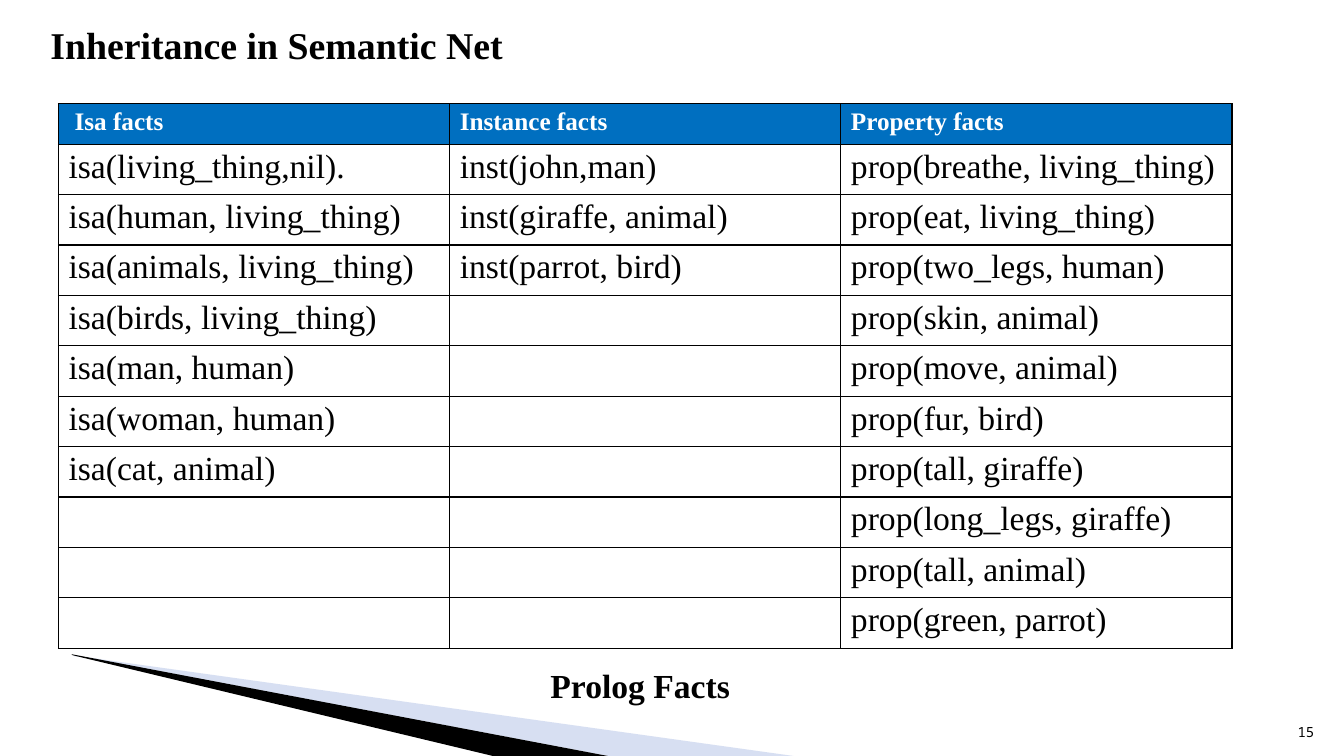
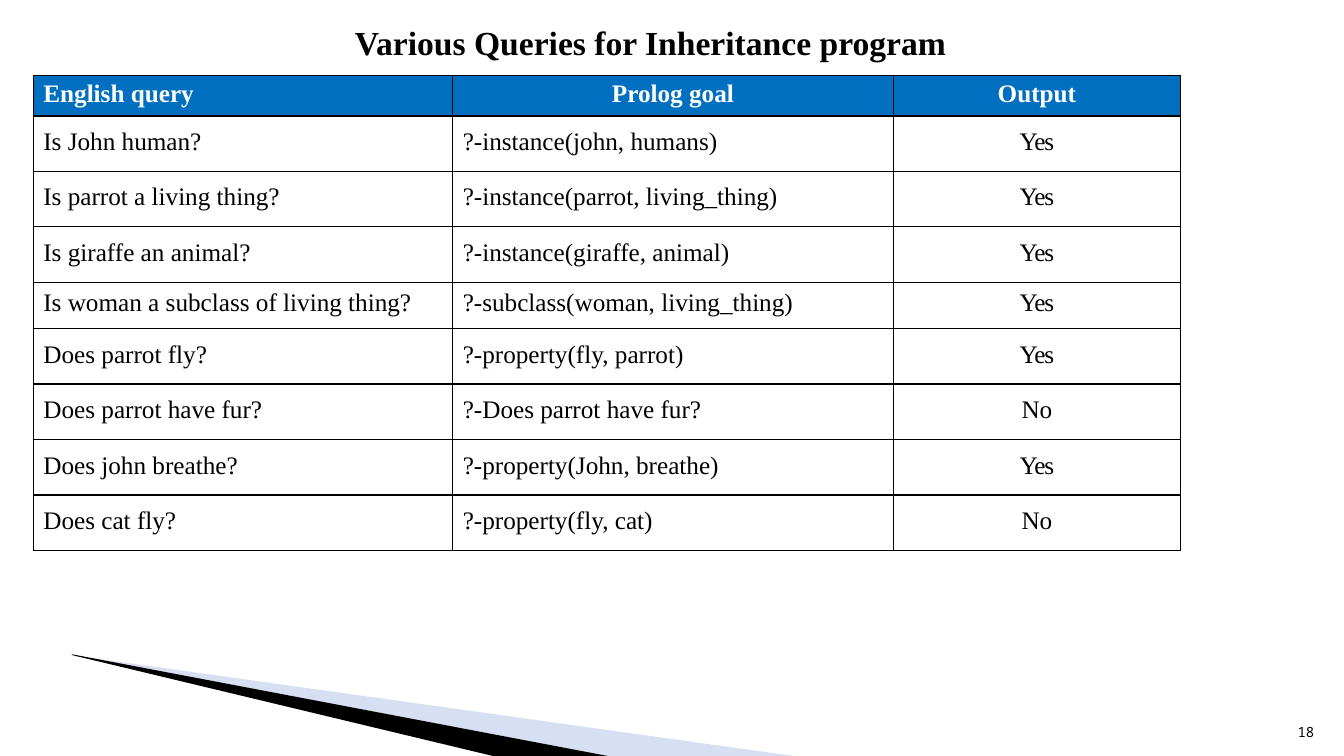
"""Build two slides on inheritance in a semantic net: Prolog facts and queries."""
from itertools import zip_longest

from lxml.etree import SubElement
from pptx import Presentation
from pptx.dml.color import RGBColor
from pptx.enum.text import MSO_ANCHOR as Anchor, PP_ALIGN as Align
from pptx.oxml.ns import qn
from pptx.util import Inches, Pt

SERIF, MONO = "Times New Roman", "Noto Sans Mono"
BLACK, WHITE, BLUE, PALE = "000000", "FFFFFF", "006FC0", "9CB1E0"
HEAD_HEIGHT = 0.4
CELL_INDENT = 0.1

WEDGES = [
    (PALE, 40, [(73, 650), (73, 651), (85, 652), (603, 750), (787, 750), (85, 652)]),
    (BLACK, 100, [(71, 649), (72, 650), (489, 750), (603, 750)]),
]

FACTS = {
    "Isa facts": ["isa(living_thing,nil).", "isa(human, living_thing)",
                  "isa(animals, living_thing)", "isa(birds, living_thing)",
                  "isa(man, human)", "isa(woman, human)", "isa(cat, animal)"],
    "Instance facts": ["inst(john,man)", "inst(giraffe, animal)", "inst(parrot, bird)"],
    "Property facts": ["prop(breathe, living_thing)", "prop(eat, living_thing)",
                       "prop(two_legs, human)", "prop(skin, animal)",
                       "prop(move, animal)", "prop(fur, bird)", "prop(tall, giraffe)",
                       "prop(long_legs, giraffe)", "prop(tall, animal)",
                       "prop(green, parrot)"],
}

QUERIES = [
    ("Is John human?", "?-instance(john, humans)", "Yes"),
    ("Is parrot a living thing?", "?-instance(parrot, living_thing)", "Yes"),
    ("Is giraffe an animal?", "?-instance(giraffe, animal)", "Yes"),
    ("Is woman a subclass of living thing?", "?-subclass(woman, living_thing)", "Yes"),
    ("Does parrot fly?", "?-property(fly, parrot)", "Yes"),
    ("Does parrot have fur?", "?-Does parrot have fur?", "No"),
    ("Does john breathe?", "?-property(John, breathe)", "Yes"),
    ("Does cat fly?", "?-property(fly, cat)", "No"),
]

SLIDES = [
    {
        "number": "15",
        "texts": [("Inheritance in Semantic Net", (0.5, 0.21, 4.6, 0.48), 27),
                  ("Prolog Facts", (5.46, 6.59, 1.9, 0.43), 24)],
        "corner": (0.58, 1.03),
        "columns": [3.88] * 3,
        "heads": list(FACTS),
        "rows": list(zip_longest(*FACTS.values(), fillvalue="")),
        "heights": [0.5] * 10,
        "top_gaps": [0.04] * 10,
        "size": 24,
        "first_head_indent": 0.16,
        "head_align": [Align.LEFT] * 3,
        "body_align": [Align.LEFT] * 3,
    },
    {
        "number": "18",
        "texts": [("Various Queries for Inheritance program", (3.52, 0.21, 6, 0.43), 24)],
        "corner": (0.33, 0.75),
        "columns": [4.16, 4.37, 2.85],
        "heads": ["English query", "Prolog goal", "Output"],
        "rows": QUERIES,
        "heights": [0.55] * 3 + [0.46] + [0.55] * 4,
        "top_gaps": [0.12] * 3 + [0.07] + [0.12] * 4,
        "size": 18,
        "first_head_indent": CELL_INDENT,
        "head_align": [Align.LEFT, Align.CENTER, Align.CENTER],
        "body_align": [Align.LEFT, Align.LEFT, Align.CENTER],
    },
]


def rgb(code):
    """Turn a hex string into a colour."""
    return RGBColor.from_string(code)


def style(para, size, colour=BLACK, bold=False, name=SERIF):
    """Set the font of a paragraph."""
    for key, value in {"size": Pt(size), "bold": bold, "name": name}.items():
        setattr(para.font, key, value)
    para.font.color.rgb = rgb(colour)


def add_text(page, text, place, size, **font):
    """Add a one-line text box without side margins."""
    frame = page.shapes.add_textbox(*map(Inches, place)).text_frame
    for side in ("left", "right", "bottom"):
        setattr(frame, f"margin_{side}", 0)
    frame.margin_top = Inches(0.01)
    frame.word_wrap = True
    para = frame.paragraphs[0]
    para.text = text
    style(para, size, **font)


def add_wedge(page, colour, opacity, points):
    """Draw one corner wedge from points in hundredths of an inch."""
    builder = page.shapes.build_freeform(*points[0], scale=Inches(0.01))
    builder.add_line_segments(points[1:], close=True)
    wedge = builder.convert_to_shape()
    wedge.shadow.inherit = False
    wedge.line.fill.background()
    wedge.fill.solid()
    wedge.fill.fore_color.rgb = rgb(colour)
    if opacity < 100:
        tint = wedge.fill._xPr.find(f".//{qn('a:srgbClr')}")
        SubElement(tint, qn("a:alpha"), val=str(opacity * 1000))


def add_borders(cell):
    """Give a cell thin black lines on all sides."""
    props = cell._tc.get_or_add_tcPr()
    for side in "LRTB":
        line = SubElement(props, qn(f"a:ln{side}"), w=str(Pt(1)))
        fill = SubElement(line, qn("a:solidFill"))
        SubElement(fill, qn("a:srgbClr"), val=BLACK)


def fill_cell(cell, text, align, size, top, indent, head):
    """Write and format one table cell."""
    left = 0 if align == Align.CENTER else Inches(indent)
    layout = {"margin_left": left, "margin_right": 0, "margin_top": Inches(top),
              "margin_bottom": 0, "vertical_anchor": Anchor.TOP}
    for key, value in layout.items():
        setattr(cell, key, value)
    add_borders(cell)
    if head:
        cell.fill.solid()
        cell.fill.fore_color.rgb = rgb(BLUE)
    else:
        cell.fill.background()
    para = cell.text_frame.paragraphs[0]
    para.text = text
    para.alignment = align
    style(para, size, WHITE if head else BLACK, head)
    if text == "Yes":
        para.runs[0].font._element.set("spc", "-70")


def add_grid(page, content):
    """Add the table of a slide with its blue head row."""
    rows = [content["heads"], *content["rows"]]
    heights = [HEAD_HEIGHT, *content["heights"]]
    gaps = [0.04, *content["top_gaps"]]
    columns = content["columns"]
    place = (*content["corner"], sum(columns), sum(heights))
    table = page.shapes.add_table(len(rows), len(columns), *map(Inches, place)).table
    table.first_row = table.horz_banding = False
    for column, width in zip(table.columns, columns):
        column.width = Inches(width)
    for r, (texts, height, gap) in enumerate(zip(rows, heights, gaps)):
        table.rows[r].height = Inches(height)
        head = r == 0
        aligns = content["head_align" if head else "body_align"]
        for c, (text, align) in enumerate(zip(texts, aligns)):
            indent = content["first_head_indent"] if head and c == 0 else CELL_INDENT
            size = 18 if head else content["size"]
            fill_cell(table.cell(r, c), text, align, size, gap, indent, head)


def main():
    """Build and save the deck."""
    deck = Presentation()
    deck.slide_width, deck.slide_height = Inches(13.33), Inches(7.5)
    for content in SLIDES:
        page = deck.slides.add_slide(deck.slide_layouts[6])
        for wedge in WEDGES:
            add_wedge(page, *wedge)
        for text, place, size in content["texts"]:
            add_text(page, text, place, size, bold=True)
        add_text(page, content["number"], (12.87, 7.17, 0.3, 0.22), 10, name=MONO)
        add_grid(page, content)
    deck.save("out.pptx")


if __name__ == "__main__":
    main()
